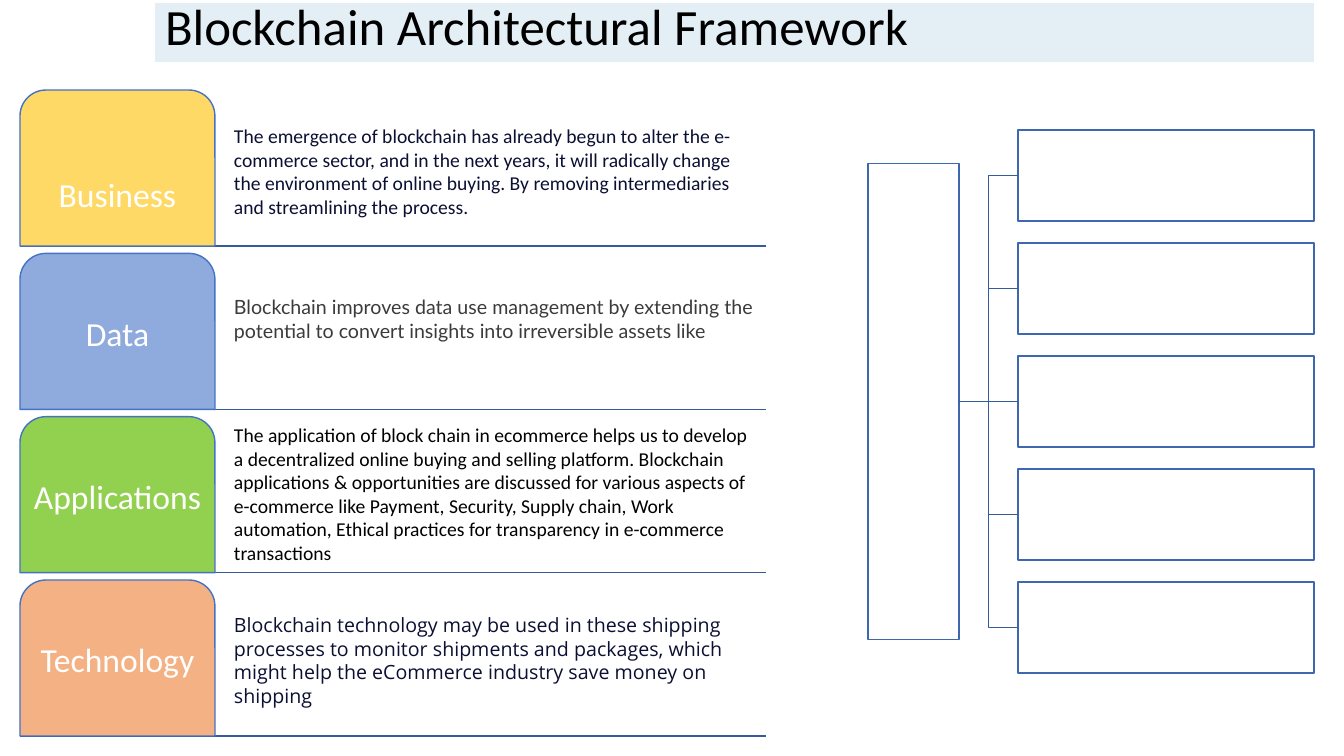
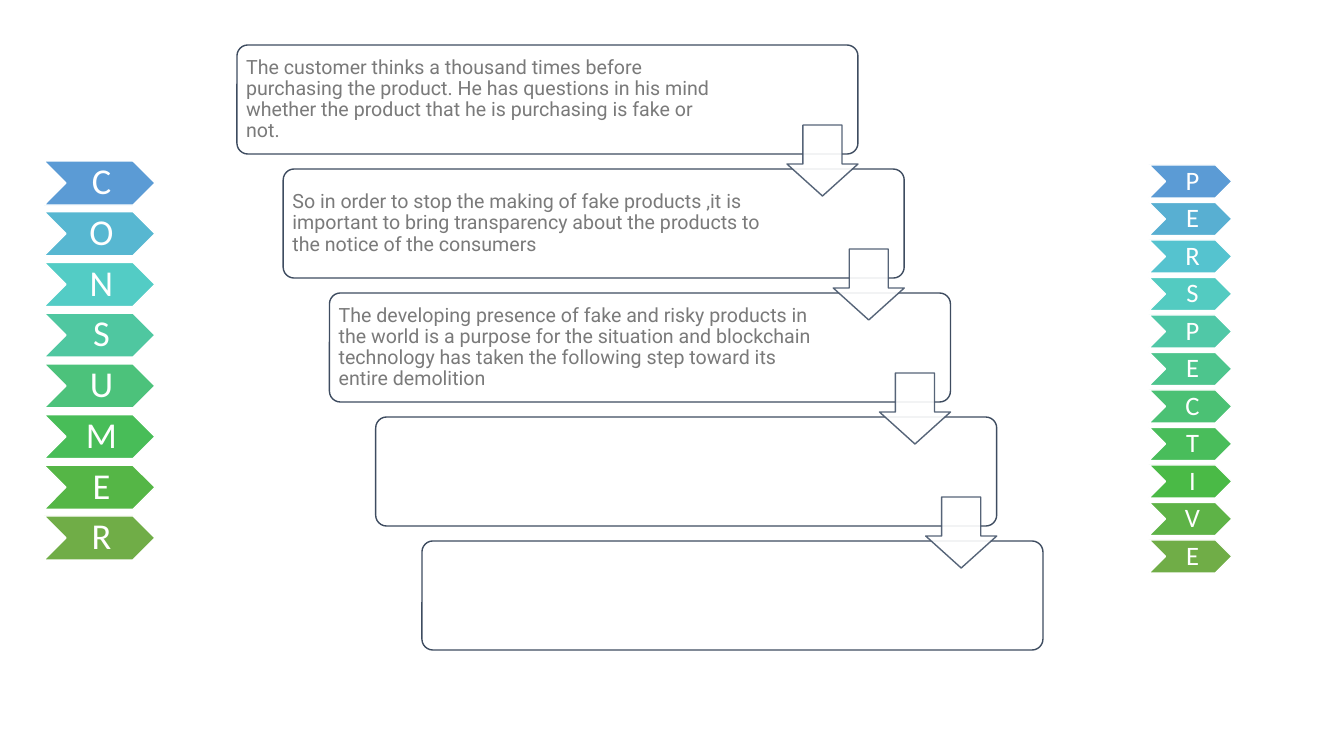
from pptx import Presentation
from pptx.dml.color import RGBColor
from pptx.enum.shapes import MSO_CONNECTOR, MSO_SHAPE
from pptx.enum.text import MSO_ANCHOR, MSO_AUTO_SIZE, PP_ALIGN
from pptx.oxml.ns import qn
from pptx.util import Pt
from lxml.etree import SubElement

PX = 914400 / 100.8
COLORS = {
    "white": "FFFFFF", "black": "000000", "band": "E3EFF5",
    "navy": "0B1033", "charcoal": "3B3B3C", "grey": "7A7A7A",
    "business": "FFD966", "data": "8FAADC", "applications": "92D050", "technology": "F4B183",
    "tab_edge": "4472C4", "rule": "365B9D", "tree_edge": "3E67B2",
    "step_edge": "3E4C60", "arrow_edge": "44546A",
    "consumer": ["5B9BD5", "57B7D1", "53CCC5", "4FC7A0", "4CC27B", "48BD58", "55B646", "70AD47"],
    "perspective": ["5B9BD5", "58AFD2", "55C3CF", "53CBC1", "50C8A7", "4DC58D",
                    "4BC174", "49BD5B", "4ABA46", "5EB347", "70AD47"],
}
LAYERS = [
    ("Business", "business", 55, 119, 535, "Calibri", "navy",
     "The emergence of blockchain has already begun to alter the e-commerce sector, and in the "
     "next years, it will radically change the environment of online buying. By removing "
     "intermediaries and streamlining the process."),
    ("Data", "data", 5, 290, 565, "Lato", "charcoal",
     "Blockchain improves data use management by extending the potential to convert insights "
     "into irreversible assets like "),
    ("Applications", "applications", 5, 418, 543, "Calibri", "black",
     "The application of block chain in ecommerce helps us to develop a decentralized online "
     "buying and selling platform. Blockchain applications & opportunities are discussed for "
     "various aspects of e-commerce like Payment, Security, Supply chain, Work automation, "
     "Ethical practices for transparency in e-commerce transactions"),
    ("Technology", "technology", 5, 608, 543, "Open Sans", "navy",
     "Blockchain technology may be used in these shipping processes to monitor shipments and "
     "packages, which might help the eCommerce industry save money on shipping"),
]
STEPS = [
    "The customer thinks a thousand times before purchasing the product. He has questions in "
    "his mind whether the product that he is purchasing is fake or not.",
    "So in order to stop the making of fake products ,it is important to bring transparency "
    "about the products to the notice of the consumers",
    "The developing presence of fake and risky products in the world is a purpose for the "
    "situation and blockchain technology has taken the following step toward its entire demolition",
    "",
    "",
]


def px(*lengths):
    return [round(length * PX) for length in lengths]


def rgb(color):
    return RGBColor.from_string(COLORS.get(color, color))


def set_all(target, values):
    for name, value in values.items():
        setattr(target, name, value)


def write(shape, text, size, color, font="Calibri", align=PP_ALIGN.LEFT, spacing=1.0,
          insets=(10, 5, 10, 5), anchor=MSO_ANCHOR.MIDDLE):
    left, top, right, bottom = px(*insets)
    frame = shape.text_frame
    set_all(frame, {"margin_left": left, "margin_top": top, "margin_right": right,
                    "margin_bottom": bottom, "word_wrap": True,
                    "auto_size": MSO_AUTO_SIZE.NONE, "vertical_anchor": anchor})
    paragraph = frame.paragraphs[0]
    set_all(paragraph, {"alignment": align, "line_spacing": spacing})
    run = paragraph.add_run()
    run.text = text
    set_all(run.font, {"name": font, "size": Pt(size)})
    run.font.color.rgb = rgb(color)


def add_block(slide, preset, box, fill, edge, adjustments=()):
    block = slide.shapes.add_shape(preset, *px(*box))
    block.shadow.inherit = False
    block.fill.solid()
    block.fill.fore_color.rgb = rgb(fill)
    block.line.color.rgb = rgb(edge)
    block.line.width = Pt(1)
    for i, value in enumerate(adjustments):
        block.adjustments[i] = value
    return block


def add_line(slide, kind, start=(0, 0), end=(0, 0)):
    line = slide.shapes.add_connector(kind, *px(*start, *end))
    line.line.color.rgb = rgb("rule")
    line.line.width = Pt(1)
    SubElement(line._element.spPr, qn("a:effectLst"))
    return line


def place_title(slide, box, text):
    title = slide.shapes.title
    set_all(title, dict(zip(("left", "top", "width", "height"), px(*box))))
    title.fill.solid()
    title.fill.fore_color.rgb = rgb("band")
    write(title, text, 36.3, "black", spacing=0.7)


def add_layers(slide, box):
    left, top, width, height = box
    tab_width, tab_height = 195, 156
    pitch = (height - tab_height) / (len(LAYERS) - 1)
    for i, (label, fill, label_inset, text_top, text_width, font, color, text) in enumerate(LAYERS):
        tab_top = top + i * pitch
        base = tab_top + tab_height
        add_line(slide, MSO_CONNECTOR.STRAIGHT, (left, base), (left + width, base))
        tab = add_block(slide, MSO_SHAPE.ROUND_2_SAME_RECTANGLE,
                        (left, tab_top, tab_width, tab_height), fill, "tab_edge", (0.167, 0))
        write(tab, label, 24, "white", align=PP_ALIGN.CENTER, spacing=0.9,
              insets=(5, label_inset, 5, 5))
        detail = slide.shapes.add_textbox(
            *px(left + tab_width + 9, text_top, text_width, base - text_top))
        write(detail, text, 14, color, font, anchor=MSO_ANCHOR.TOP)


def add_tree(slide, box, branch_count=5):
    left, top, width, height = box
    trunk_width, trunk_height = 91, 476
    branch_width, branch_height = 296, 91
    pitch = (height - branch_height) / (branch_count - 1)
    trunk_top = top + (height - trunk_height) / 2
    trunk = add_block(slide, MSO_SHAPE.RECTANGLE, (left, trunk_top, trunk_width, trunk_height),
                      "white", "tree_edge")
    for i in range(branch_count):
        branch = add_block(slide, MSO_SHAPE.RECTANGLE,
                           (left + width - branch_width, top + i * pitch,
                            branch_width, branch_height), "white", "tree_edge")
        is_middle = i == branch_count // 2
        link = add_line(slide, MSO_CONNECTOR.STRAIGHT if is_middle else MSO_CONNECTOR.ELBOW)
        link.begin_connect(trunk, 3)
        link.end_connect(branch, 1)


def add_steps(slide, box):
    left, top, width, height = box
    step_width, step_height, arrow_size = 621, 109, 71
    gaps = len(STEPS) - 1
    shift = (width - step_width) / gaps
    pitch = (height - step_height) / gaps
    for i, text in enumerate(STEPS):
        step = add_block(slide, MSO_SHAPE.ROUNDED_RECTANGLE,
                         (left + i * shift, top + i * pitch, step_width, step_height),
                         "white", "step_edge", (0.1,))
        if text:
            write(step, text, 14, "grey", "Roboto", spacing=0.9, insets=(6, 6, 130, 6))
    for i in range(gaps):
        arrow = add_block(slide, MSO_SHAPE.DOWN_ARROW,
                          (left + i * shift + step_width - arrow_size, top + i * pitch + 80,
                           arrow_size, arrow_size), "white", "arrow_edge", (0.55, 0.45))
        for color in arrow._element.spPr.iter(qn("a:srgbClr")):
            SubElement(color, qn("a:alpha"), val="90000")


def add_letters(slide, box, word, palette, chevron_height, size):
    left, top, width, height = box
    pitch = (height - chevron_height) / (len(word) - 1)
    for i, (letter, fill) in enumerate(zip(word, COLORS[palette])):
        chevron = add_block(slide, MSO_SHAPE.CHEVRON,
                            (left, top + i * pitch, width, chevron_height), fill, "white")
        write(chevron, letter, size, "white", align=PP_ALIGN.CENTER, spacing=0.9,
              insets=(4, 2, 0, 2))


def build_framework(deck):
    slide = deck.slides.add_slide(deck.slide_layouts[5])
    place_title(slide, (155, 3, 1159, 59), "Blockchain Architectural Framework")
    add_layers(slide, (20, 90, 746, 646))
    add_tree(slide, (868, 130, 446, 543))


def build_consumer(deck):
    slide = deck.slides.add_slide(deck.slide_layouts[6])
    add_steps(slide, (237, 45, 806, 605))
    add_letters(slide, (44, 161, 111, 399), "CONSUMER", "consumer", 44, 26)
    add_letters(slide, (1149, 165, 83, 408), "PERSPECTIVE", "perspective", 33, 19)


deck = Presentation()
deck.slide_width, deck.slide_height = px(1344, 756)
build_framework(deck)
build_consumer(deck)
deck.save("out.pptx")
